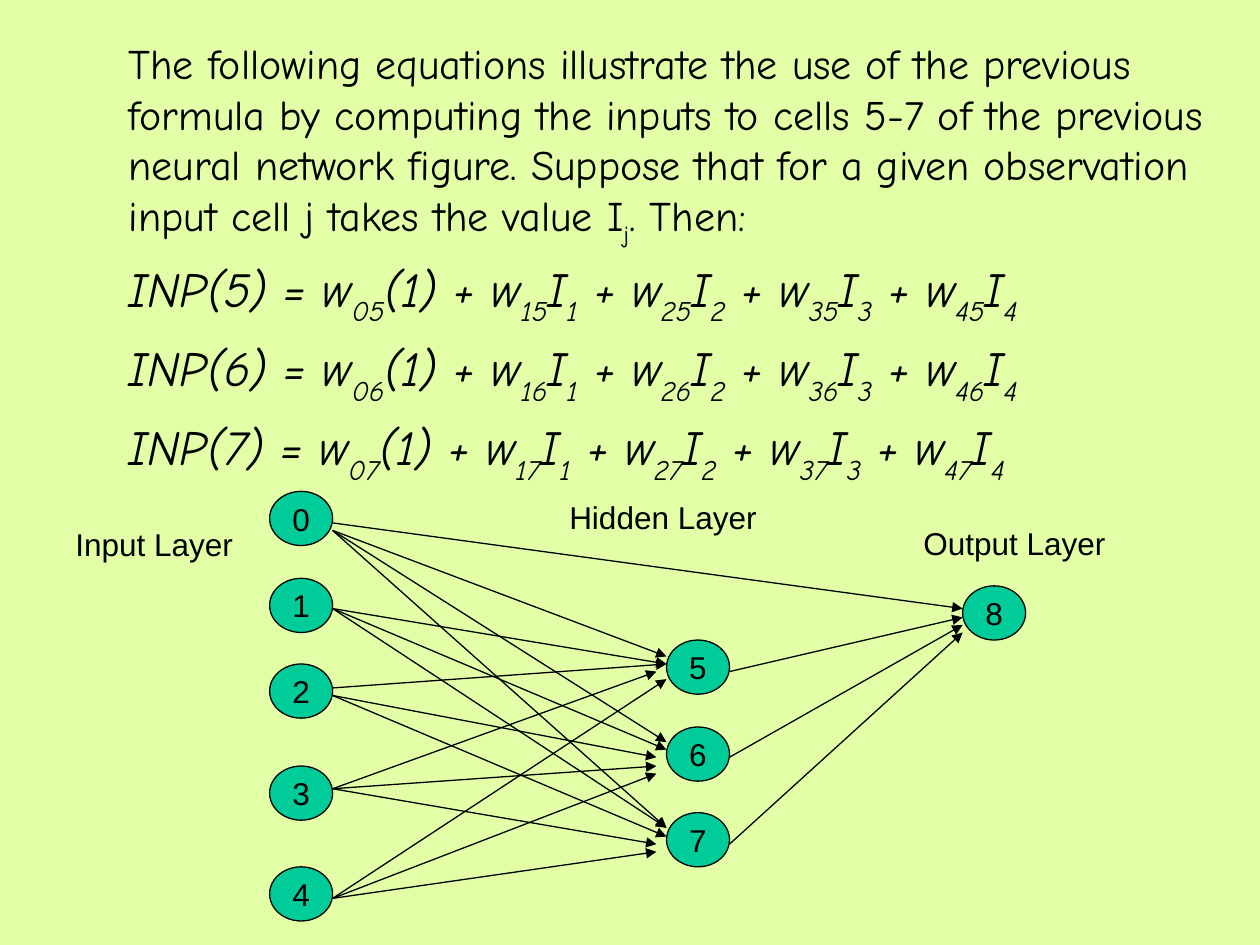
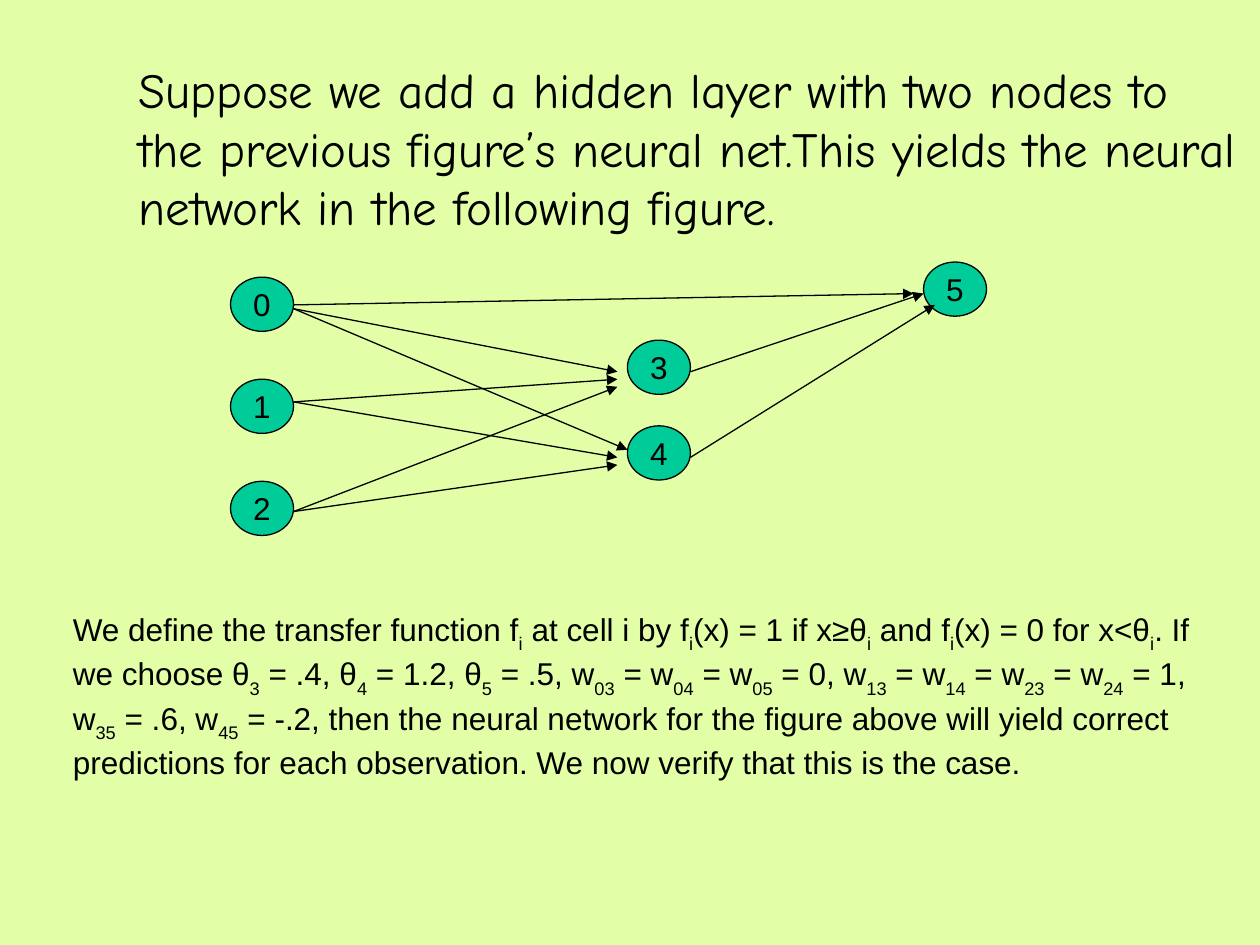
from lxml.etree import SubElement
from pptx import Presentation
from pptx.dml.color import RGBColor
from pptx.enum.shapes import MSO_CONNECTOR as CONN, MSO_SHAPE as SHAPE
from pptx.enum.text import MSO_ANCHOR as ANCHOR, MSO_AUTO_SIZE as FIT, PP_ALIGN as ALIGN
from pptx.oxml.ns import qn
from pptx.util import Inches, Pt

PAGE, CELL, INK = "E2FFA8", "00CC99", "000000"
HAND, PLAIN = "Comic Neue", "Arial"
CELL_W, CELL_H = 0.5, 0.43
COLUMNS = (0, 3.15, 5.5)


def rgb(value):
    return RGBColor.from_string(value)


def write(p, text, size, font, italic=None):
    for i, part in enumerate(text.split("_")):
        if not part:
            continue
        r = p.add_run()
        r.text = part
        r.font.size = Pt(size)
        r.font.name = font
        r.font.italic = italic
        r.font.color.rgb = rgb(INK)
        if i % 2:
            r._r.get_or_add_rPr().set("baseline", "-30000")


def body(slide, box, paragraphs):
    sp = slide.placeholders[1]
    sp.left, sp.top, sp.width, sp.height = map(Inches, box)
    tf = sp.text_frame
    tf.auto_size = FIT.NONE
    tf.vertical_anchor = ANCHOR.TOP
    for i, (text, size, italic) in enumerate(paragraphs):
        p = tf.add_paragraph() if i else tf.paragraphs[0]
        p.alignment = ALIGN.LEFT
        write(p, text, size, HAND, italic)


def text_box(slide, box, text):
    tf = slide.shapes.add_textbox(*map(Inches, box)).text_frame
    tf.word_wrap = True
    write(tf.paragraphs[0], text, 18, PLAIN)


def cell(shapes, x, y, label):
    sp = shapes.add_shape(SHAPE.OVAL, *map(Inches, (x, y, CELL_W, CELL_H)))
    sp.shadow.inherit = False
    sp.fill.solid()
    sp.fill.fore_color.rgb = rgb(CELL)
    sp.line.color.rgb = rgb(INK)
    sp.line.width = Pt(0.75)
    tf = sp.text_frame
    tf.word_wrap = False
    tf.vertical_anchor = ANCHOR.MIDDLE
    tf.paragraphs[0].alignment = ALIGN.CENTER
    write(tf.paragraphs[0], label, 18, PLAIN)


def arrow(shapes, x1, y1, x2, y2):
    c = shapes.add_connector(CONN.STRAIGHT, *map(Inches, (x1, y1, x2, y2)))
    c.line.color.rgb = rgb(INK)
    c.line.width = Pt(0.75)
    SubElement(c.line._get_or_add_ln(), qn("a:tailEnd"), type="triangle")
    SubElement(c._element.spPr, qn("a:effectLst"))


def network(slide, left, top, layers, links):
    shapes = slide.shapes.add_group_shape().shapes
    spots = [(left + dx, top + dy) for dx, layer in zip(COLUMNS, layers) for dy in layer]
    for number, (x, y) in enumerate(spots):
        cell(shapes, x, y, str(number))
    for source, target, leave, enter, gap in links:
        (x1, y1), (x2, y2) = spots[source], spots[target]
        arrow(shapes, x1 + CELL_W, y1 + leave, x2 - gap, y2 + enter)


def new_slide(prs):
    slide = prs.slides.add_slide(prs.slide_layouts[0])
    title = slide.shapes.title._element
    title.getparent().remove(title)
    return slide


def equation(k):
    terms = "".join(f" + w_{i}{k}_I_{i}_" for i in range(1, 5))
    return f"INP({k}) = w_0{k}_(1)" + terms


def equations_slide(prs):
    slide = new_slide(prs)
    intro = ("The following equations illustrate the use of the previous formula by "
             "computing the inputs to cells 5-7 of the previous neural network figure. "
             "Suppose that for a given observation input cell j takes the value I_j_. Then:")
    body(slide, (0.92, 0.25, 8.92, 3.5),
         [(intro, 24, None)] + [(equation(k), 28, True) for k in (5, 6, 7)])
    layers = [(0, 0.69, 1.37, 2.18, 2.98), (1.18, 1.87, 2.55), (0.75,)]
    links = [
        (0, 8, 0.25, 0.18, 0), (0, 5, 0.31, 0.13, 0),
        (0, 6, 0.31, 0.12, 0), (0, 7, 0.31, 0.12, 0),
        (1, 5, 0.24, 0.19, 0), (1, 6, 0.24, 0.18, 0), (1, 7, 0.24, 0.12, 0),
        (2, 5, 0.19, 0.19, 0), (2, 6, 0.25, 0.24, 0.08), (2, 7, 0.25, 0.19, 0),
        (3, 5, 0.18, 0.25, 0.08), (3, 6, 0.18, 0.31, 0.08), (3, 7, 0.18, 0.25, 0.08),
        (4, 5, 0.25, 0.31, 0), (4, 6, 0.25, 0.37, 0.08), (4, 7, 0.25, 0.31, 0.08),
        (5, 8, 0.25, 0.25, 0), (6, 8, 0.24, 0.31, 0), (7, 8, 0.25, 0.37, 0),
    ]
    network(slide, 2.14, 3.9, layers, links)
    for x, y, w, layer in ((0.5, 4.12, 1.64, "Input"), (7.23, 4.11, 1.83, "Output"),
                           (4.42, 3.9, 2.3, "Hidden")):
        text_box(slide, (x, y, w, 0.4), f"{layer} Layer")


def hidden_layer_slide(prs):
    slide = new_slide(prs)
    intro = ("Suppose we add a hidden layer with two nodes to the previous figure’s "
             "neural net.This yields the neural network in the following figure.")
    body(slide, (1, 0.42, 9, 6.67), [(intro, 28, None)])
    layers = [(0.12, 0.93, 1.74), (0.62, 1.3), (0,)]
    links = [
        (0, 3, 0.25, 0.25, 0.08), (0, 4, 0.25, 0.19, 0),
        (1, 3, 0.18, 0.31, 0.08), (1, 4, 0.18, 0.25, 0.08),
        (2, 3, 0.24, 0.37, 0.08), (2, 4, 0.24, 0.31, 0.08),
        (3, 5, 0.25, 0.25, 0), (4, 5, 0.25, 0.34, -0.09), (0, 5, 0.22, 0.25, 0.08),
    ]
    network(slide, 1.83, 2.08, layers, links)
    text_box(slide, (0.48, 4.79, 9.1, 2.1),
             "We define the transfer function f_i_ at cell i by f_i_(x) = 1 if x≥θ_i_ "
             "and f_i_(x) = 0 for x<θ_i_. If we choose θ_3_ = .4, θ_4_ = 1.2, θ_5_ = .5, "
             "w_03_ = w_04_ = w_05_ = 0, w_13_ = w_14_ = w_23_ = w_24_ = 1, "
             "w_35_ = .6, w_45_ = -.2, then the neural network for the figure above will "
             "yield correct predictions for each observation. We now verify that this is "
             "the case.")


prs = Presentation()
prs.slide_width, prs.slide_height = Inches(10), Inches(7.5)
page = prs.slide_master.background.fill
page.solid()
page.fore_color.rgb = rgb(PAGE)
equations_slide(prs)
hidden_layer_slide(prs)
prs.save("out.pptx")
